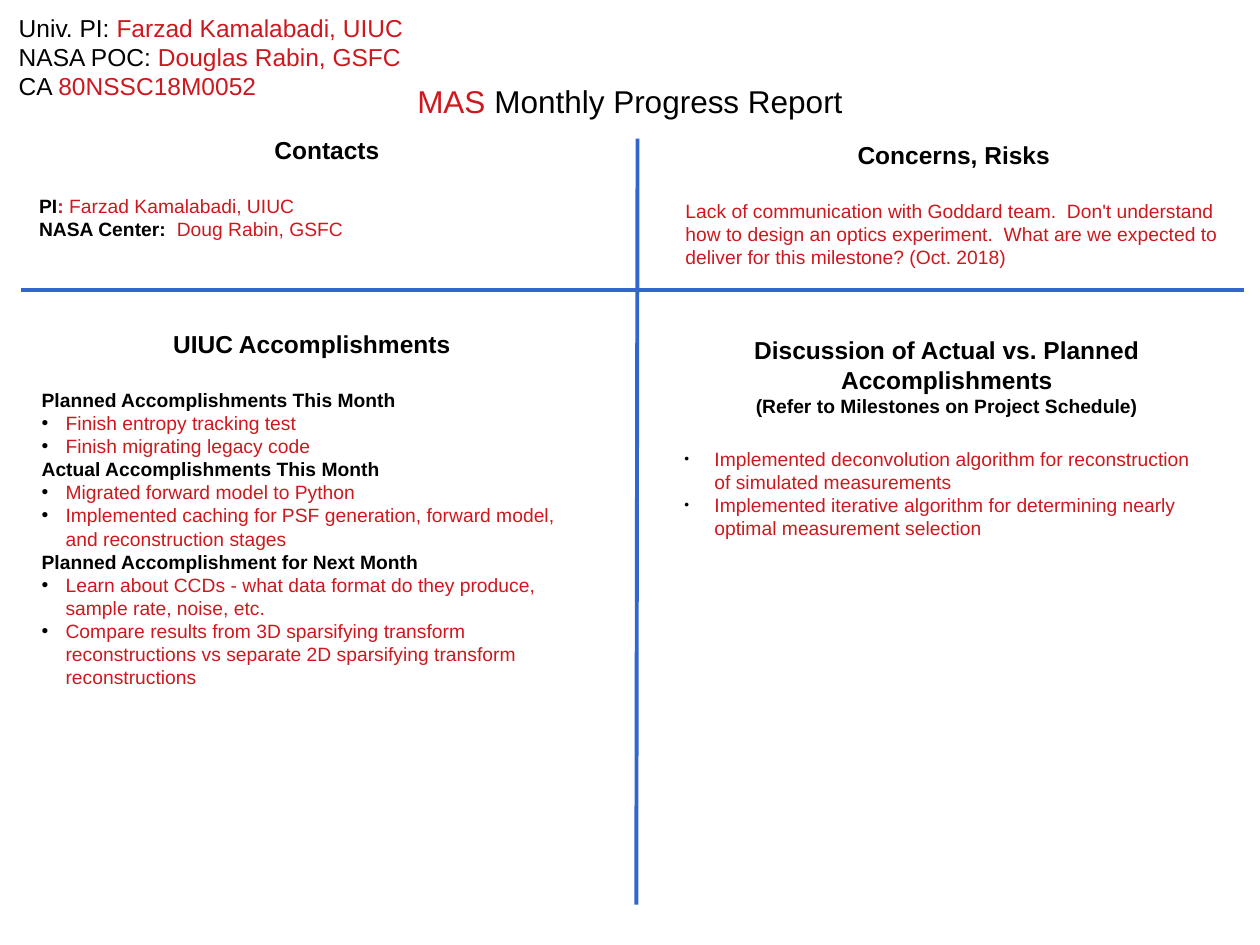
"""Build a four-quadrant monthly progress report slide."""
from lxml.etree import SubElement
from pptx import Presentation
from pptx.dml.color import RGBColor
from pptx.enum.shapes import MSO_CONNECTOR
from pptx.enum.text import MSO_ANCHOR, MSO_AUTO_SIZE, PP_ALIGN
from pptx.oxml.ns import qn
from pptx.util import Inches, Pt

THEME = {
    "font": "Arial", "black": "000000", "red": "CE181E", "blue": "3366CC",
    "title": 18, "heading": 14, "body": 11, "rule": 2.25, "heading_gap": 17,
}

presentation = Presentation()
presentation.slide_width, presentation.slide_height = Inches(10), Inches(7.5)
column = presentation.slide_width / 100
row = presentation.slide_height / 75
slide = presentation.slides.add_slide(presentation.slide_layouts[4])


def place(shape, left, top, width, height, inset=(0.1, 0.05)):
    shape.left, shape.top = int(left * column), int(top * row)
    shape.width, shape.height = int(width * column), int(height * row)
    frame = shape.text_frame
    frame.word_wrap, frame.auto_size = True, MSO_AUTO_SIZE.NONE
    frame.vertical_anchor = MSO_ANCHOR.TOP
    frame.margin_left = frame.margin_right = Inches(inset[0])
    frame.margin_top = frame.margin_bottom = Inches(inset[1])
    return frame


def write(frame, *runs, size="body", bold=False, color="red", centered=False,
          gap=0, bullet=None, indent=0, bullet_size=100):
    paragraph = frame.paragraphs[0]
    if paragraph.runs:
        paragraph = frame.add_paragraph()
    paragraph.alignment = PP_ALIGN.CENTER if centered else PP_ALIGN.LEFT
    paragraph.line_spacing = 1.0
    paragraph.space_before, paragraph.space_after = Pt(0), Pt(gap)
    properties = paragraph._p.get_or_add_pPr()
    properties.set("marL", str(Inches(indent)))
    properties.set("indent", str(-Inches(indent)))
    if bullet:
        bullet_color = SubElement(properties, qn("a:buClr"))
        SubElement(bullet_color, qn("a:srgbClr"), val=THEME["black"])
        SubElement(properties, qn("a:buSzPct"), val=str(bullet_size * 1000))
        SubElement(properties, qn("a:buFont"), typeface=THEME["font"])
        SubElement(properties, qn("a:buChar"), char=bullet)
    else:
        SubElement(properties, qn("a:buNone"))
    for item in runs:
        text, run_color, run_bold = (item, color, bold) if isinstance(item, str) else item
        run = paragraph.add_run()
        run.text = text
        run.font.name, run.font.size = THEME["font"], Pt(THEME[size])
        run.font.bold = run_bold
        run.font.color.rgb = RGBColor.from_string(THEME[run_color])


heading = {"size": "heading", "bold": True, "color": "black", "centered": True}
spaced_heading = {**heading, "gap": THEME["heading_gap"]}
label = {"bold": True, "color": "black"}

for start_x, start_y, end_x, end_y in [(50.6, 11, 50.5, 71.8), (1.7, 23, 98.7, 23)]:
    line = slide.shapes.add_connector(
        MSO_CONNECTOR.STRAIGHT, int(start_x * column), int(start_y * row),
        int(end_x * column), int(end_y * row))
    line.line.color.rgb = RGBColor.from_string(THEME["blue"])
    line.line.width = Pt(THEME["rule"])
    SubElement(line._element.spPr, qn("a:effectLst"))

title, contacts, accomplishments, concerns, discussion = slide.placeholders

frame = place(title, 3, 6, 94, 3.8)
write(frame, "MAS", (" Monthly Progress Report", "black", False), size="title", centered=True)

frame = place(slide.shapes.add_textbox(0, 0, 0, 0), 0.5, 0.5, 40.2, 8.5)
for name, value in [("Univ. PI: ", "Farzad Kamalabadi, UIUC"),
                    ("NASA POC: ", "Douglas Rabin, GSFC"),
                    ("CA ", "80NSSC18M0052")]:
    write(frame, (name, "black", False), value, size="heading")

frame = place(contacts, 2.1, 10.2, 47.7, 23.5)
write(frame, "Contacts", **spaced_heading)
write(frame, ("PI", "black", True), (": ", "red", True), "Farzad Kamalabadi, UIUC")
write(frame, ("NASA Center:  ", "black", True), "Doug Rabin, GSFC")

frame = place(concerns, 53.4, 10.6, 44.6, 12.3)
write(frame, "Concerns, Risks", **spaced_heading)
write(frame, "Lack of communication with Goddard team.  Don't understand how to design an "
             "optics experiment.  What are we expected to deliver for this milestone? (Oct. 2018)")

frame = place(accomplishments, 2.4, 25.7, 44.7, 25, inset=(0.09, 0.04))
write(frame, "UIUC Accomplishments", **spaced_heading)
for section, items in [
    ("Planned Accomplishments This Month",
     ["Finish entropy tracking test", "Finish migrating legacy code"]),
    ("Actual Accomplishments This Month",
     ["Migrated forward model to Python",
      "Implemented caching for PSF generation, forward model, and reconstruction stages"]),
    ("Planned Accomplishment for Next Month",
     ["Learn about CCDs - what data format do they produce, sample rate, noise, etc.",
      "Compare results from 3D sparsifying transform reconstructions vs separate 2D "
      "sparsifying transform reconstructions"]),
]:
    write(frame, section, **label)
    for item in items:
        write(frame, item, bullet="•", indent=0.19)

frame = place(discussion, 53.3, 26.1, 43.7, 23.4)
write(frame, "Discussion of Actual vs. Planned Accomplishments", **heading)
write(frame, "(Refer to Milestones on Project Schedule)", **{**spaced_heading, "size": "body"})
for item in ["Implemented deconvolution algorithm for reconstruction of simulated measurements",
             "Implemented iterative algorithm for determining nearly optimal measurement selection"]:
    write(frame, item, bullet="●", indent=0.24, bullet_size=45)

presentation.save("out.pptx")
